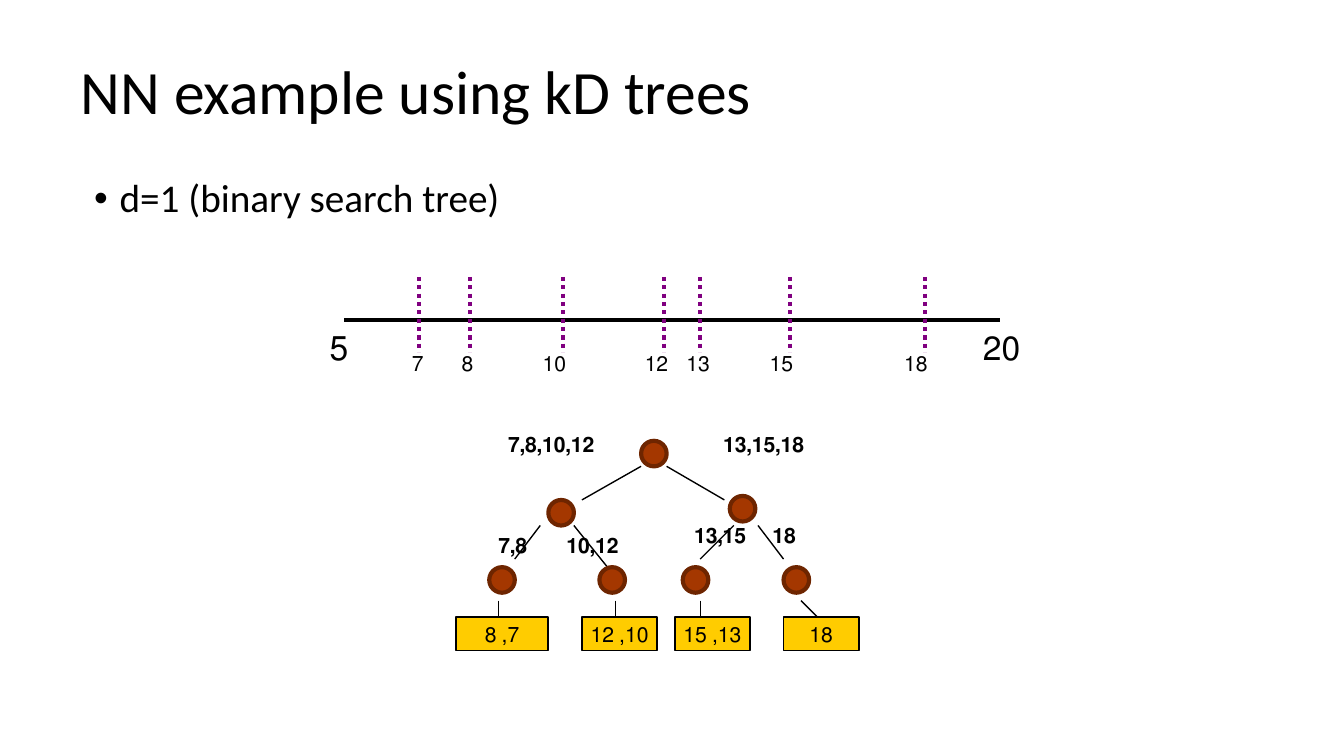
from lxml import etree
from pptx import Presentation
from pptx.dml.color import RGBColor
from pptx.enum import dml, shapes, text
from pptx.oxml.ns import qn
from pptx.util import Inches, Pt

# Content
TITLE = "NN example using kD trees"
BULLET = "d=1 (binary search tree)"

AXIS_Y = 2.38
AXIS = (2.56, 7.44)
AXIS_ENDS = [("5", 2.38, 0.31), ("20", 7.19, 0.5)]  # label, left, width
TICK_SPAN = (2.06, 2.62)
TICKS = [  # value, tick x, label left, label width
    ("7", 3.12, 2.75, 0.5), ("8", 3.5, 3.31, 0.31), ("10", 4.19, 3.81, 0.5),
    ("12", 4.94, 4.57, 0.5), ("13", 5.21, 4.88, 0.5), ("15", 5.88, 5.5, 0.5),
    ("18", 6.88, 6.5, 0.5),
]

NODE_SIZE = 0.19
NODES = [(4.77, 3.28), (4.08, 3.72), (5.43, 3.69),
         (3.64, 4.22), (4.46, 4.22), (5.08, 4.22), (5.83, 4.22)]
BRANCHES = [  # x1, y1, x2, y2
    (4.77, 3.47, 4.33, 3.72), (4.96, 3.47, 5.39, 3.72),
    (4.02, 3.91, 3.83, 4.16), (4.27, 3.91, 4.52, 4.22),
    (5.46, 3.91, 5.21, 4.16), (5.64, 3.91, 5.83, 4.16),
]
SUBSETS = [  # label, left, top, width
    ("7,8,10,12", 3.58, 3.16, 0.94), ("13,15,18", 5.14, 3.16, 0.94),
    ("7,8", 3.52, 3.91, 0.5), ("10,12", 4.08, 3.91, 0.62),
    ("13,15", 4.96, 3.84, 0.69), ("18", 5.64, 3.84, 0.38),
]
STEM_Y, LEAF_Y, LEAF_H = 4.47, 4.59, 0.25
LEAVES = [  # label, left, width, stem top x, stem bottom x
    ("7, 8", 3.39, 0.69, 3.71, 3.71), ("10, 12", 4.33, 0.56, 4.58, 4.58),
    ("13, 15", 5.02, 0.56, 5.21, 5.21), ("18", 5.83, 0.56, 5.96, 6.08),
]

BLACK, PURPLE, GOLD = "000000", "800080", "FFCC00"
BROWN, DARK_BROWN = "A43700", "6E2500"
ALIGN = text.PP_ALIGN

# Widescreen slide, 16:9
prs = Presentation()
prs.slide_width = Inches(10)
prs.slide_height = prs.slide_width * 9 // 16
s = prs.slides.add_slide(prs.slide_layouts[1])


# Helpers
def paint(fmt, color):
    if hasattr(fmt, "solid"):
        fmt.solid()
        fmt = fmt.fore_color
    else:
        fmt = fmt.color
    fmt.rgb = RGBColor.from_string(color)


def box(*lengths):
    return [Inches(v) for v in lengths]


def write(p, words, size, font="Arial", **formats):
    r = p.add_run()
    r.text = words
    for name, value in {"size": Pt(size), "name": font, **formats}.items():
        setattr(r.font, name, value)
    paint(r.font, BLACK)


def rtl_text(tf, words, size, align, **formats):
    p = tf.paragraphs[0]
    p.alignment = align
    p._p.get_or_add_pPr().set("rtl", "1")
    write(p, words, size, **formats)


def label(words, left, top, width, size=11.3, height=0.29, **formats):
    tf = s.shapes.add_textbox(*box(left, top, width, height)).text_frame
    tf.word_wrap = True
    tf.auto_size = text.MSO_AUTO_SIZE.SHAPE_TO_FIT_TEXT
    rtl_text(tf, words, size, ALIGN.RIGHT, **formats)


def line(x1, y1, x2, y2, color=BLACK, width=0.75, dash=None):
    c = s.shapes.add_connector(shapes.MSO_CONNECTOR.STRAIGHT, *box(x1, y1, x2, y2))
    paint(c.line, color)
    c.line.width = Pt(width)
    if dash:
        c.line.dash_style = dash
    etree.SubElement(c._element.spPr, qn("a:effectLst"))


def shape(kind, left, top, width, height, fill, outline, weight):
    sp = s.shapes.add_shape(kind, *box(left, top, width, height))
    sp.shadow.inherit = False
    paint(sp.fill, fill)
    paint(sp.line, outline)
    sp.line.width = Pt(weight)
    return sp


def placeholder(sp, bounds, anchor):
    sp.left, sp.top, sp.width, sp.height = box(*bounds)
    tf = sp.text_frame
    for name, value in {"word_wrap": True, "vertical_anchor": anchor,
                        "auto_size": text.MSO_AUTO_SIZE.NONE}.items():
        setattr(tf, name, value)
    p = tf.paragraphs[0]
    p.alignment, p.line_spacing, p.space_before = ALIGN.LEFT, 0.9, Pt(0)
    return p


# Title and bullet
p = placeholder(s.shapes.title, (0.5, 0.23, 9, 0.94), text.MSO_ANCHOR.MIDDLE)
write(p, TITLE, 33, "Calibri")

p = placeholder(s.placeholders[1], (0.6, 1.28, 6.5, 3.71), text.MSO_ANCHOR.TOP)
pPr = p._p.get_or_add_pPr()
pPr.set("marL", str(Inches(0.19)))
pPr.set("indent", str(-Inches(0.19)))
etree.SubElement(pPr, qn("a:buFont")).set("typeface", "Arial")
etree.SubElement(pPr, qn("a:buChar")).set("char", "•")
write(p, BULLET, 21, "Calibri")

# Number line
line(AXIS[0], AXIS_Y, AXIS[1], AXIS_Y, width=2.25)
for words, left, width in AXIS_ENDS:
    label(words, left, AXIS_Y, width, size=18, height=0.4)
for words, x, left, width in TICKS:
    line(x, TICK_SPAN[0], x, TICK_SPAN[1], PURPLE, 2.25, dml.MSO_LINE.ROUND_DOT)
    label(words, left, 2.56, width)

# Tree leaves with their stems
for words, left, width, x1, x2 in LEAVES:
    sp = shape(shapes.MSO_SHAPE.RECTANGLE, left, LEAF_Y, width, LEAF_H, GOLD, BLACK, 1)
    tf = sp.text_frame
    tf.word_wrap = False
    tf.vertical_anchor = text.MSO_ANCHOR.MIDDLE
    rtl_text(tf, words, 11.3, ALIGN.CENTER)
    line(x1, STEM_Y, x2, LEAF_Y)

# Tree branches, nodes and subset labels
for branch in BRANCHES:
    line(*branch)
for left, top in NODES:
    shape(shapes.MSO_SHAPE.OVAL, left, top, NODE_SIZE, NODE_SIZE, BROWN, DARK_BROWN, 2.25)
for words, left, top, width in SUBSETS:
    label(words, left, top, width, bold=True)

prs.save("out.pptx")
